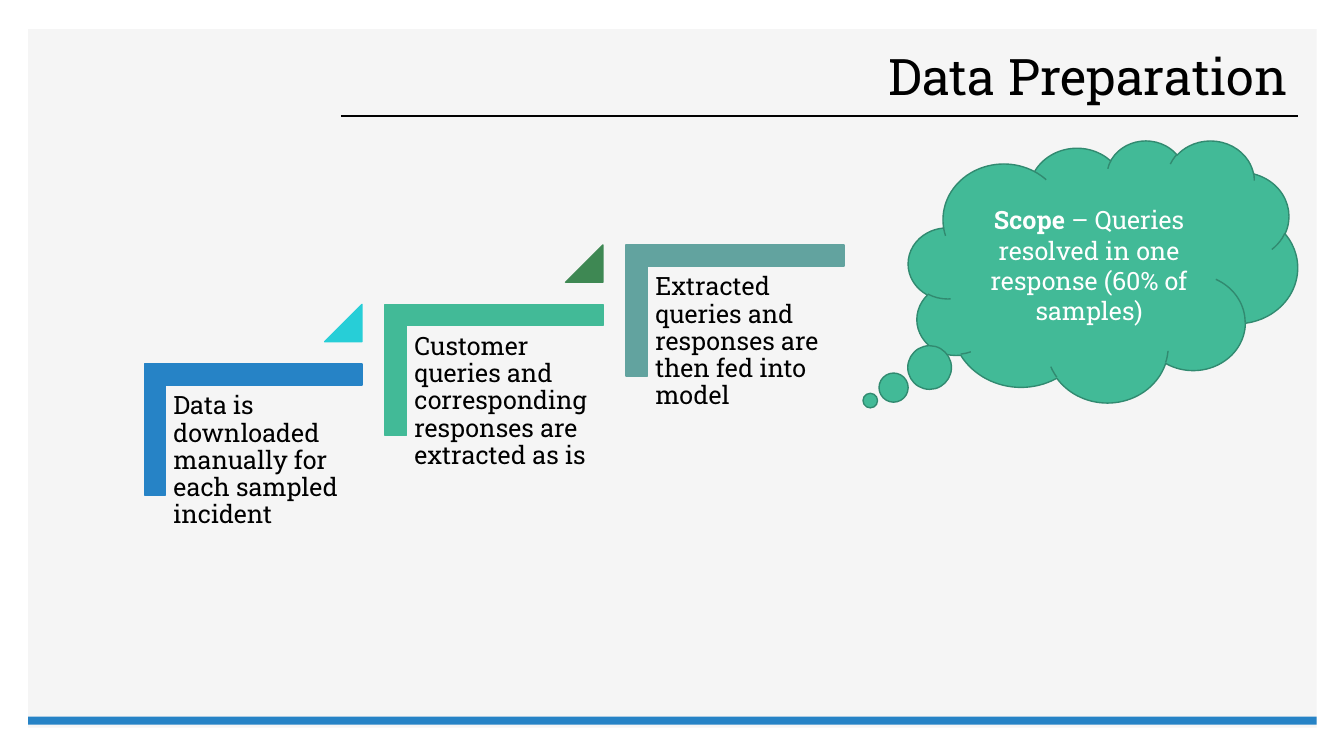
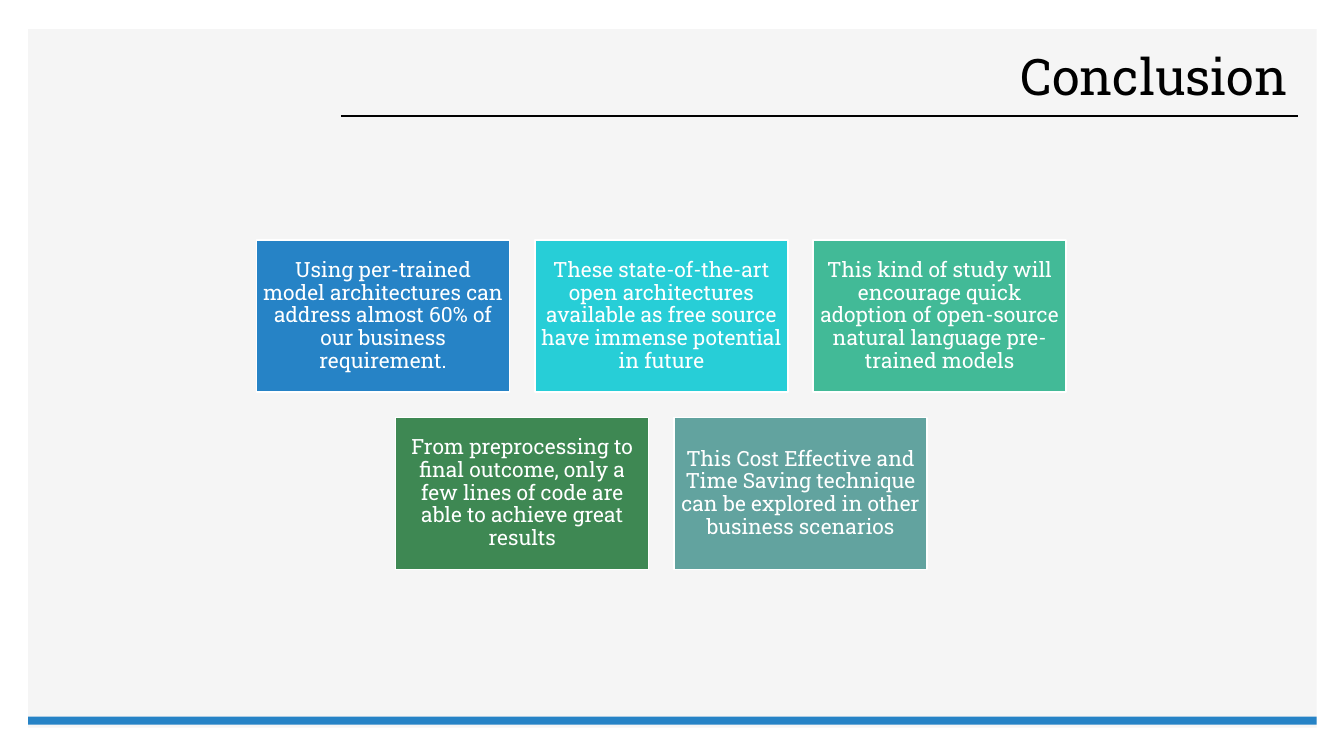
from pptx import Presentation
from pptx.dml.color import RGBColor
from pptx.enum.shapes import MSO_CONNECTOR, MSO_SHAPE
from pptx.enum.text import MSO_ANCHOR, PP_ALIGN
from pptx.oxml.ns import qn
from pptx.util import Inches, Pt
from lxml.etree import SubElement

# Content: text with its colour; each run of the scope is text with its bold flag
PREPARATION_TITLE = "Data Preparation"
STEPS = [
    ("Data is downloaded manually for each sampled incident", "blue"),
    ("Customer queries and corresponding responses are extracted as is", "green"),
    ("Extracted queries and responses are then fed into model", "teal"),
]
RISER_COLORS = ["cyan", "forest"]  # triangles between consecutive steps
SCOPE = [("Scope", True), (" – Queries resolved in one response (60% of samples)", False)]

CONCLUSION_TITLE = "Conclusion"
CARD_ROWS = [
    [
        ("Using per-trained model architectures can address almost 60% of our business requirement.", "blue"),
        ("These state-of-the-art open architectures available as free source have immense potential in future", "cyan"),
        ("This kind of study will encourage quick adoption of open-source natural language pre-trained models", "green"),
    ],
    [
        ("From preprocessing to final outcome, only a few lines of code are able to achieve great results", "forest"),
        ("This Cost Effective and Time Saving technique can be explored in other business scenarios", "teal"),
    ],
]

# Shared style
COLORS = {
    "black": "000000", "white": "FFFFFF", "panel": "F5F5F5", "blue": "2683C6",
    "cyan": "27CED7", "green": "42BA97", "forest": "3E8853", "teal": "62A39F",
    "cloud_edge": "318A70",
}
FONT = "Roboto Slab"
WIDTH, HEIGHT = 13.33, 7.5
MARGIN, PANEL_WIDTH = 0.28, 12.78
RULE_LEFT, RULE_RIGHT, RULE_TOP = 3.38, 12.87, 1.15

# Staircase: first bracket (as seen), shift per step, riser size
BRACKET_LEFT, BRACKET_TOP = 1.43, 3.61
BRACKET_WIDTH, BRACKET_HEIGHT, BRACKET_BAND = 2.16, 1.3, 0.161
STEP_RIGHT, STEP_UP = 2.39, 0.59
RISER = 0.37

# Cards: rows centred on one axis
CARD_WIDTH, CARD_HEIGHT, CARD_GAP = 2.51, 1.51, 0.25
CARDS_CENTER, CARDS_TOP = 6.56, 2.38


def color(name):
    return RGBColor.from_string(COLORS[name])


def add_shape(page, kind, left, top, width, height, fill, line=None):
    shape = page.shapes.add_shape(
        kind, Inches(left), Inches(top), Inches(width), Inches(height))
    shape.shadow.inherit = False
    shape.fill.solid()
    shape.fill.fore_color.rgb = color(fill)
    if line:
        shape.line.color.rgb = color(line)
        shape.line.width = Pt(1)
    else:
        shape.line.fill.background()
    return shape


def write(shape, runs, size, ink, align, anchor=MSO_ANCHOR.MIDDLE, spacing=0.9, inset=None):
    frame = shape.text_frame
    frame.word_wrap = True
    frame.vertical_anchor = anchor
    if inset is not None:
        frame.margin_left = frame.margin_right = Inches(inset)
        frame.margin_top = frame.margin_bottom = Inches(inset)
    para = frame.paragraphs[0]
    para.alignment = align
    para.line_spacing = spacing
    for text, bold in runs:
        span = para.add_run()
        span.text = text
        span.font.name = FONT
        span.font.size = Pt(size)
        span.font.bold = bold
        span.font.color.rgb = color(ink)


def add_textbox(page, left, top, width, height):
    return page.shapes.add_textbox(
        Inches(left), Inches(top), Inches(width), Inches(height))


def add_page(deck, title):
    """Page with panel, title rule, bottom band and title."""
    page = deck.slides.add_slide(deck.slide_layouts[6])
    add_shape(page, MSO_SHAPE.RECTANGLE, MARGIN, 0.29, PANEL_WIDTH, 6.93, "panel")
    rule = page.shapes.add_connector(
        MSO_CONNECTOR.STRAIGHT, Inches(RULE_LEFT), Inches(RULE_TOP),
        Inches(RULE_RIGHT), Inches(RULE_TOP))
    rule.line.color.rgb = color("black")
    rule.line.width = Pt(1)
    SubElement(rule._element.spPr, qn("a:effectLst"))
    add_shape(page, MSO_SHAPE.RECTANGLE, MARGIN, 7.11, PANEL_WIDTH, 0.08, "blue")
    box = add_textbox(page, 3.7, 0.42, RULE_RIGHT - 3.7, RULE_TOP - 0.42)
    write(box, [(title, False)], 36, "black", PP_ALIGN.RIGHT)
    return page


def add_step(page, index, text, fill):
    left = BRACKET_LEFT + index * STEP_RIGHT
    top = BRACKET_TOP - index * STEP_UP
    # The corner shape is turned a quarter, so its frame has the sides swapped
    turn = (BRACKET_WIDTH - BRACKET_HEIGHT) / 2
    bracket = add_shape(page, MSO_SHAPE.CORNER, left + turn, top - turn,
                        BRACKET_HEIGHT, BRACKET_WIDTH, fill, fill)
    bracket.rotation = 90
    bracket.adjustments[0] = bracket.adjustments[1] = BRACKET_BAND
    box = add_textbox(page, left + 0.22, top + 0.22, 1.95, 1.71)
    write(box, [(text, False)], 18, "black", PP_ALIGN.LEFT, MSO_ANCHOR.TOP, inset=0.07)
    if index < len(RISER_COLORS):
        riser_fill = RISER_COLORS[index]
        riser = add_shape(page, MSO_SHAPE.ISOSCELES_TRIANGLE,
                          left + BRACKET_WIDTH - RISER, top - STEP_UP,
                          RISER, RISER, riser_fill, riser_fill)
        riser.adjustments[0] = 1


def build_preparation(deck):
    page = add_page(deck, PREPARATION_TITLE)
    for index, (text, fill) in enumerate(STEPS):
        add_step(page, index, text, fill)
    cloud = add_shape(page, MSO_SHAPE.CLOUD_CALLOUT, 9.01, 1.39, 3.86, 2.6,
                      "green", "cloud_edge")
    cloud.adjustments[0], cloud.adjustments[1] = -0.598, 0.494
    write(cloud, SCOPE, 18, "white", PP_ALIGN.CENTER, spacing=1.0)


def build_conclusion(deck):
    page = add_page(deck, CONCLUSION_TITLE)
    for row, cards in enumerate(CARD_ROWS):
        row_width = len(cards) * (CARD_WIDTH + CARD_GAP) - CARD_GAP
        top = CARDS_TOP + row * (CARD_HEIGHT + CARD_GAP)
        for column, (text, fill) in enumerate(cards):
            left = CARDS_CENTER - row_width / 2 + column * (CARD_WIDTH + CARD_GAP)
            card = add_shape(page, MSO_SHAPE.RECTANGLE, left, top,
                             CARD_WIDTH, CARD_HEIGHT, fill, "white")
            write(card, [(text, False)], 15, "white", PP_ALIGN.CENTER, inset=0.06)


def main():
    deck = Presentation()
    deck.slide_width, deck.slide_height = Inches(WIDTH), Inches(HEIGHT)
    build_preparation(deck)
    build_conclusion(deck)
    deck.save("out.pptx")


if __name__ == "__main__":
    main()
